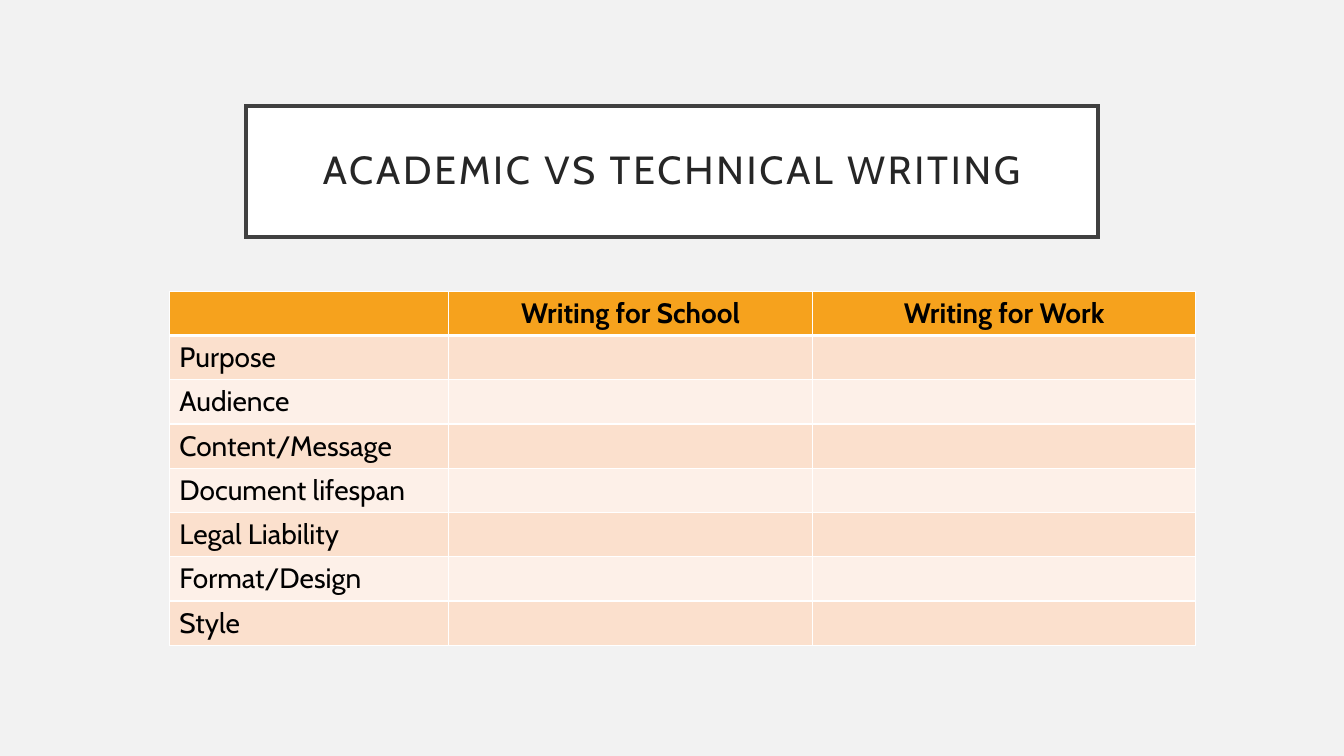
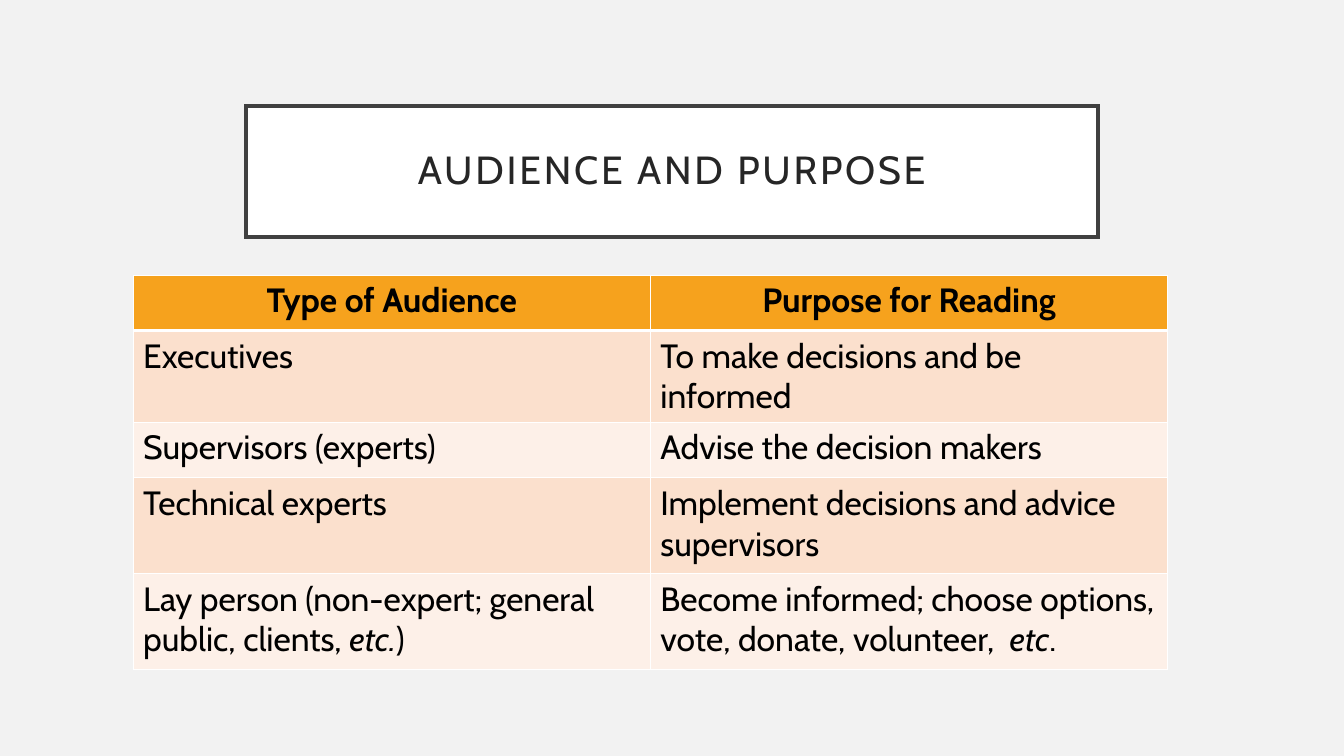
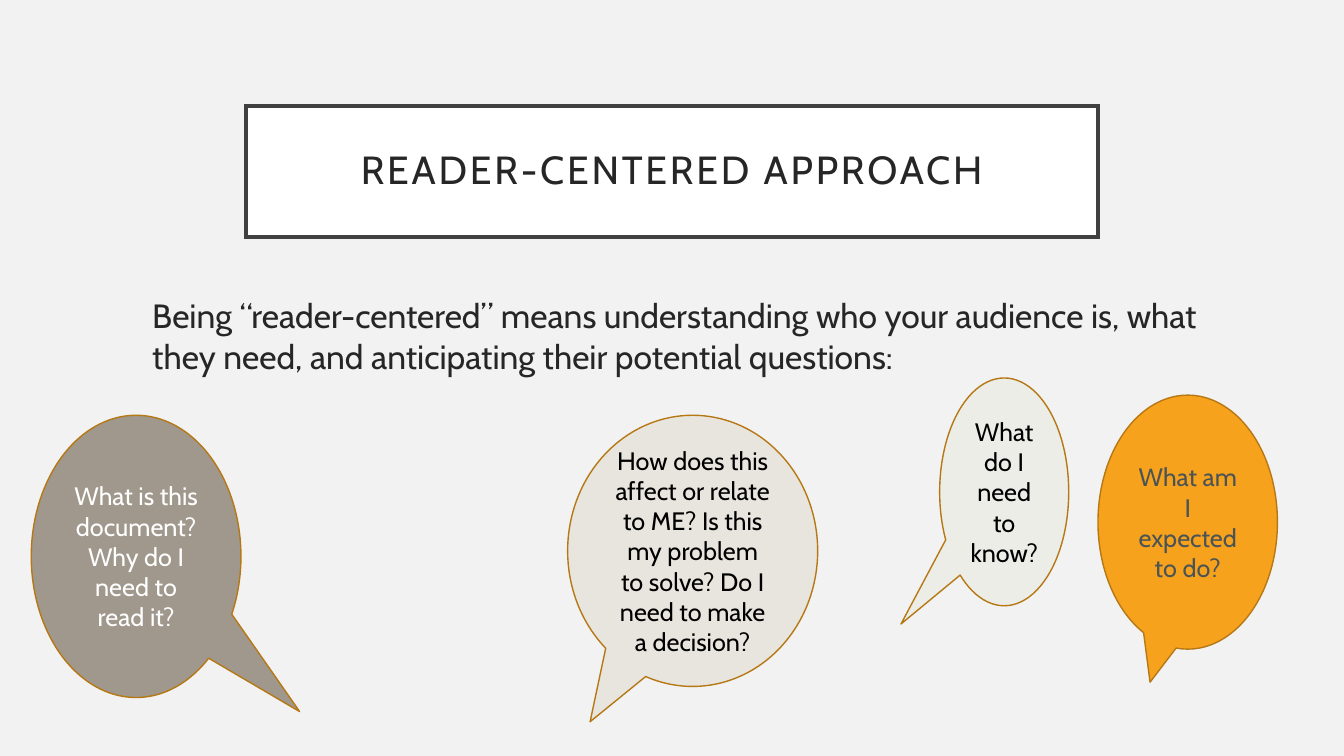
from dataclasses import dataclass

from lxml.etree import SubElement
from pptx import Presentation
from pptx.dml.color import RGBColor
from pptx.enum.shapes import MSO_SHAPE
from pptx.enum.text import MSO_ANCHOR, MSO_AUTO_SIZE, PP_ALIGN
from pptx.oxml.ns import qn
from pptx.util import Inches, Pt

CENTER, LEFT = PP_ALIGN.CENTER, PP_ALIGN.LEFT
MIDDLE, TOP = MSO_ANCHOR.MIDDLE, MSO_ANCHOR.TOP
NO_FIT = MSO_AUTO_SIZE.NONE
CALLOUT = MSO_SHAPE.OVAL_CALLOUT
TITLE_AND_BODY, TITLE_ONLY = 1, 5


@dataclass(frozen=True)
class Theme:
    """Colours, font and type sizes of the deck."""
    font: str = "Cabin"
    page: str = "F2F2F2"
    white: str = "FFFFFF"
    black: str = "000000"
    text: str = "262626"
    frame: str = "404040"
    accent: str = "F6A21D"
    outline: str = "B67815"
    slate: str = "4A5356"
    taupe: str = "A0988C"
    sand: str = "E8E5DE"
    mist: str = "EBEDE6"
    bands: tuple = ("FBE0CD", "FDF0E8")
    title_size: int = 28
    body_size: int = 24
    table_size: int = 20
    callout_size: int = 18


T = Theme()
TITLE_BOX = (2.44, 1.05, 8.45, 1.3)


def set_all(obj, **values):
    """Set every given attribute on an object."""
    for name, value in values.items():
        setattr(obj, name, value)


def paint(fill, color):
    """Give a fill one solid colour."""
    fill.solid()
    fill.fore_color.rgb = RGBColor.from_string(color)


def place(sp, box):
    """Move a shape to a box given in inches."""
    set_all(sp, **dict(zip(("left", "top", "width", "height"), map(Inches, box))))


def outline(sp, color, width):
    """Draw a solid line around a shape."""
    paint(sp.line.fill, color)
    sp.line.width = Pt(width)


def write(tf, text, size, color, align=LEFT, bold=False):
    """Write one paragraph, with the parts between asterisks in italics."""
    p = tf.paragraphs[0]
    p.alignment = align
    for i, part in enumerate(text.split("*")):
        r = p.add_run()
        r.text = part
        set_all(r.font, name=T.font, size=Pt(size), bold=bold, italic=i % 2 == 1)
        r.font.color.rgb = RGBColor.from_string(color)
    return p


def new_slide(prs, layout, title):
    """Add a slide with the framed title."""
    s = prs.slides.add_slide(prs.slide_layouts[layout])
    sp = s.shapes.title
    place(sp, TITLE_BOX)
    paint(sp.fill, T.white)
    outline(sp, T.frame, 2.5)
    SubElement(sp._element.spPr.find(qn("a:ln")), qn("a:miter"), lim="800000")
    tf = sp.text_frame
    margins = {f"margin_{side}": Inches(0.2) for side in ("left", "top", "right", "bottom")}
    set_all(tf, word_wrap=True, auto_size=NO_FIT, vertical_anchor=MIDDLE, **margins)
    p = write(tf, title, T.title_size, T.text, CENTER)
    p.line_spacing = 0.9
    p.runs[0].font._element.set("spc", "200")
    return s


def add_borders(cell, bottom):
    """Draw white cell borders with a bottom line of the given width."""
    tcPr = cell._tc.get_or_add_tcPr()
    for side in "LRTB":
        width = Pt(bottom if side == "B" else 1)
        ln = SubElement(tcPr, qn(f"a:ln{side}"), w=str(int(width)))
        fill = SubElement(ln, qn("a:solidFill"))
        SubElement(fill, qn("a:srgbClr"), val=T.white)


def add_banded_table(s, left, top, widths, heights, rows, size):
    """Add a table with an accent header and banded rows."""
    box = (left, top, sum(widths), sum(heights))
    table = s.shapes.add_table(len(rows), len(widths), *map(Inches, box)).table
    for col, width in zip(table.columns, widths):
        col.width = Inches(width)
    for i, (row, height, texts) in enumerate(zip(table.rows, heights, rows)):
        row.height = Inches(height)
        head = i == 0
        for j, cell in enumerate(row.cells):
            add_borders(cell, 3 if head else 1)
            paint(cell.fill, T.accent if head else T.bands[(i - 1) % 2])
            if j < len(texts) and texts[j]:
                write(cell.text_frame, texts[j], size, T.black, CENTER if head else LEFT, head)


def add_body(s, box, text):
    """Fill the body placeholder with one unbulleted paragraph."""
    sp = s.placeholders[1]
    place(sp, box)
    set_all(sp.text_frame, word_wrap=True, auto_size=NO_FIT, vertical_anchor=TOP)
    p = write(sp.text_frame, text, T.body_size, T.text)
    p.space_before = Pt(10)
    pPr = p._p.get_or_add_pPr()
    for name in ("marL", "indent"):
        pPr.set(name, "0")
    SubElement(pPr, qn("a:buNone"))


def add_callout(s, box, tip, fill, color, text):
    """Add a speech bubble whose tip is relative to its centre."""
    sp = s.shapes.add_shape(CALLOUT, *map(Inches, box))
    sp.shadow.inherit = False
    for i, value in enumerate(tip):
        sp.adjustments[i] = value
    paint(sp.fill, fill)
    outline(sp, T.outline, 1)
    set_all(sp.text_frame, word_wrap=True, vertical_anchor=MIDDLE)
    write(sp.text_frame, text, T.callout_size, color, CENTER)


def writing_slide(prs):
    """Compare writing for school and for work."""
    s = new_slide(prs, TITLE_ONLY, "ACADEMIC VS TECHNICAL WRITING")
    topics = ("Purpose", "Audience", "Content/Message", "Document lifespan",
              "Legal Liability", "Format/Design", "Style")
    rows = [("", "Writing for School", "Writing for Work")] + [(topic,) for topic in topics]
    add_banded_table(s, 1.68, 2.89, (2.77, 3.61, 3.8), [0.41] * len(rows), rows, T.table_size)


def audience_slide(prs):
    """List audiences and their purposes."""
    s = new_slide(prs, TITLE_ONLY, "AUDIENCE AND PURPOSE")
    rows = [
        ("Type of Audience", "Purpose for Reading"),
        ("Executives", "To make decisions and be informed"),
        ("Supervisors (experts)", "Advise the decision makers"),
        ("Technical experts", "Implement decisions and advice supervisors"),
        ("Lay person (non-expert; general public, clients, *etc.*)",
         "Become informed; choose options, vote, donate, volunteer,  *etc*."),
    ]
    heights = [0.55] * 3 + [0.95] * 2
    add_banded_table(s, 1.32, 2.73, [5.13] * 2, heights, rows, T.body_size)


def reader_slide(prs):
    """Show the questions that readers ask."""
    s = new_slide(prs, TITLE_AND_BODY, "READER-CENTERED APPROACH")
    add_body(s, (1.41, 2.88, 10.57, 3.39),
             "Being “reader-centered” means understanding who your audience is, "
             "what they need, and anticipating their potential questions:")
    callouts = [
        ((0.31, 4.12, 2.08, 2.8), (0.78, 0.55), T.taupe, T.white,
         "What is this document? Why do I need to read it?"),
        ((5.63, 4.12, 2.48, 2.69), (-0.41, 0.63), T.sand, T.black,
         "How does this affect or relate to ME? Is this my problem to solve? "
         "Do I need to make a decision?"),
        ((9.32, 3.75, 1.28, 2.26), (-0.8, 0.58), T.mist, T.black,
         "What do I need to know?"),
        ((10.89, 3.92, 1.78, 2.52), (-0.21, 0.63), T.accent, T.slate,
         "What am I expected to do?"),
    ]
    for callout in callouts:
        add_callout(s, *callout)


def main():
    """Build and save the deck."""
    prs = Presentation()
    set_all(prs, slide_width=Inches(13.33), slide_height=Inches(7.5))
    paint(prs.slide_master.background.fill, T.page)
    for build in (writing_slide, audience_slide, reader_slide):
        build(prs)
    prs.save("out.pptx")


if __name__ == "__main__":
    main()
